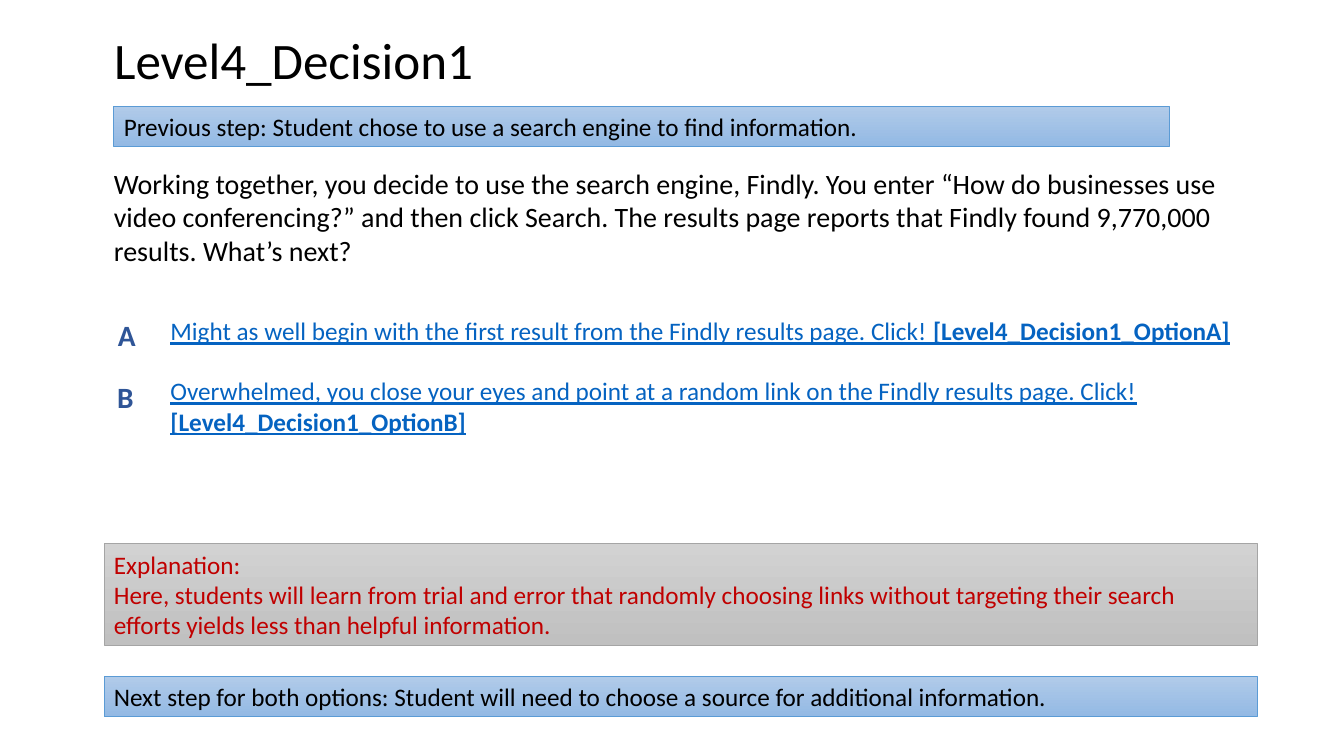
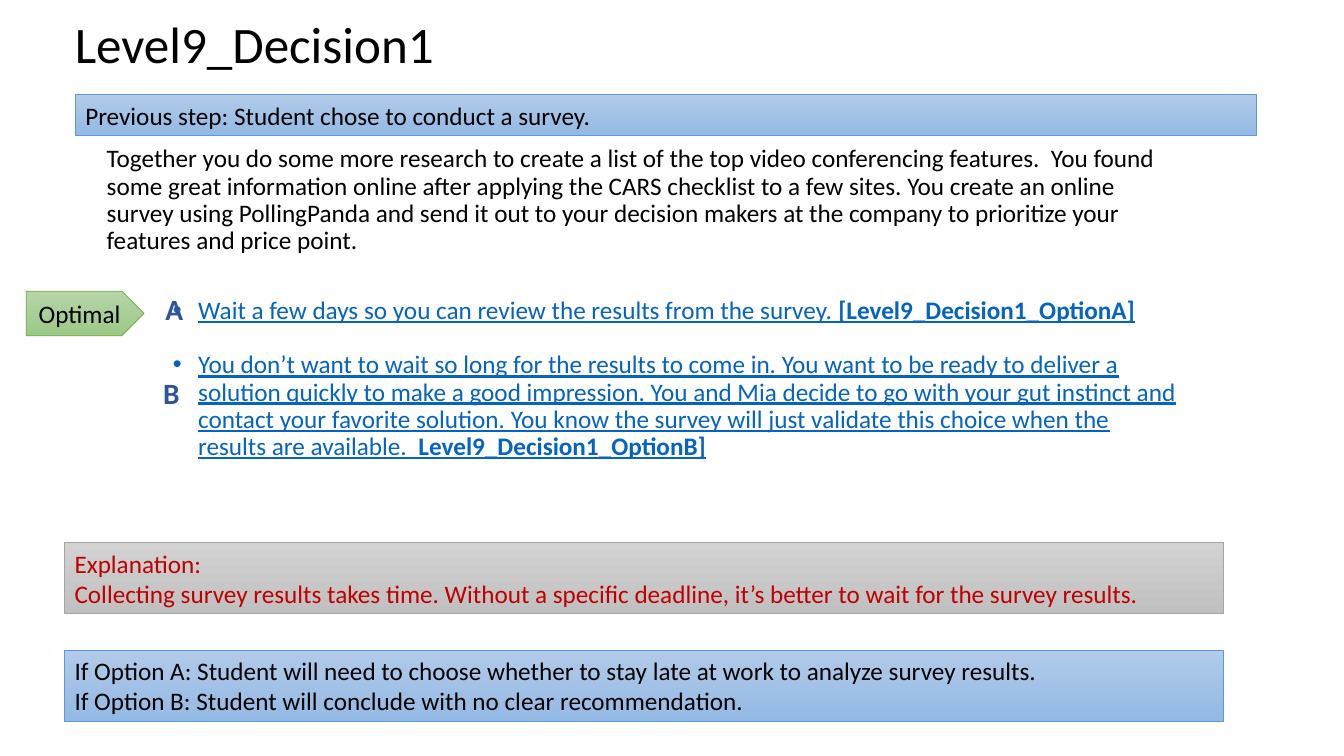
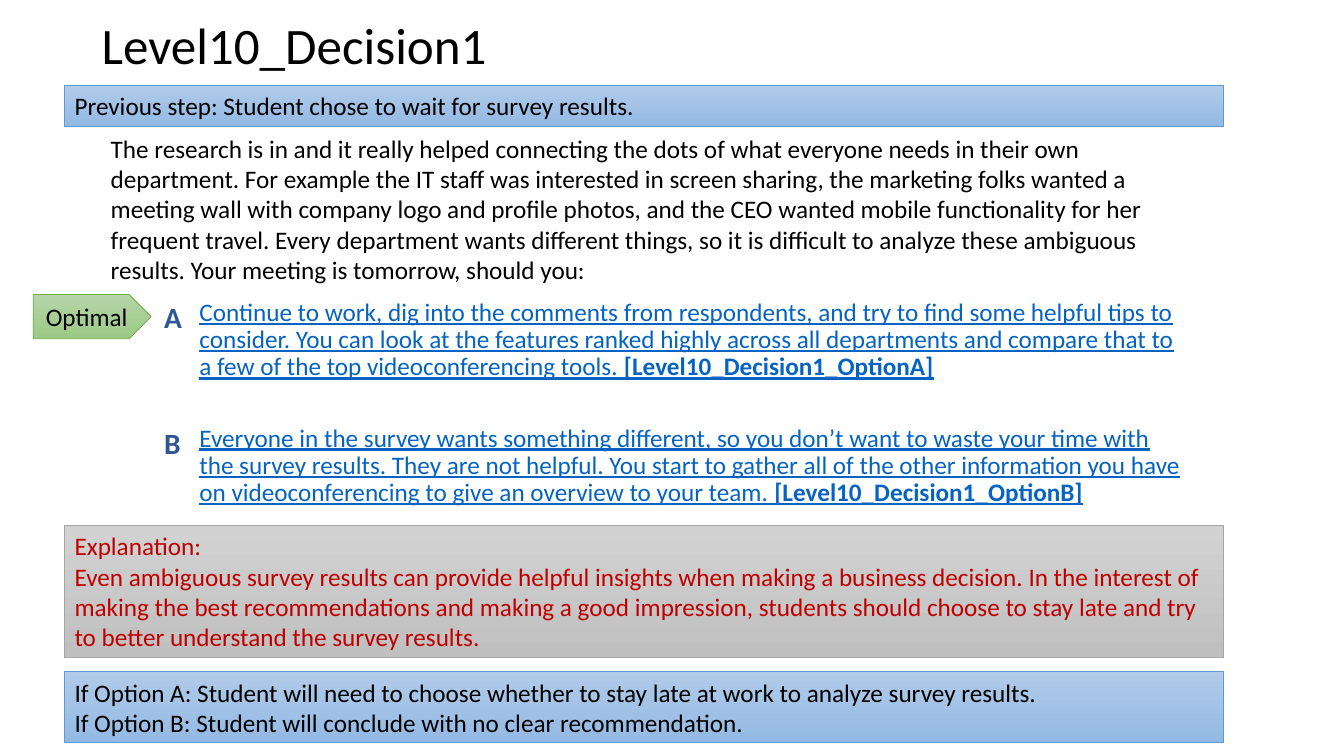
from lxml import etree
from pptx import Presentation
from pptx.dml.color import RGBColor
from pptx.enum.shapes import MSO_SHAPE
from pptx.enum.text import MSO_ANCHOR, MSO_AUTO_SIZE, PP_ALIGN
from pptx.oxml.ns import qn
from pptx.util import Cm, Pt

RECT, ARROW = MSO_SHAPE.RECTANGLE, MSO_SHAPE.PENTAGON
TOP, MIDDLE = MSO_ANCHOR.TOP, MSO_ANCHOR.MIDDLE
LEFT, CENTER = PP_ALIGN.LEFT, PP_ALIGN.CENTER
FIXED = MSO_AUTO_SIZE.NONE


class Theme:
    font = "Calibri"
    black, red = "000000", "C00000"
    link, label = "0563C1", "2F5597"
    # Gradient top, gradient bottom, outline
    blue = ("B1CBE9", "93B9E4", "5B9BD5")
    gray = ("D2D2D2", "C0C0C0", "A5A5A5")
    green = ("B5D5A7", "9CC987", "70AD47")
    title, lead, text, letter = 36.5, 20, 18, 21


def write(frame, lines, size=Theme.text, color=Theme.black, align=LEFT,
          anchor=TOP, bold=False, line=1.0, gap=0, indent=None, bullet=False):
    """Fill a frame; a line is a text or a (plain, bold) pair."""
    frame.word_wrap = True
    frame.auto_size = FIXED
    frame.vertical_anchor = anchor
    for i, item in enumerate(lines):
        para = frame.paragraphs[0] if i == 0 else frame.add_paragraph()
        if indent:
            props = para._p.get_or_add_pPr()
            props.set("marL", str(Cm(indent[0])))
            props.set("indent", str(Cm(indent[1])))
            mark = etree.SubElement(props, qn("a:buChar" if bullet else "a:buNone"))
            if bullet:
                mark.set("char", "•")
        para.alignment = align
        para.line_spacing = line
        para.space_before = Pt(gap if i else 0)
        para.space_after = Pt(0)
        font = para.font
        font.name, font.size, font.bold = Theme.font, Pt(size), bold
        font.color.rgb = RGBColor.from_string(color)
        if isinstance(item, str):
            para.add_run().text = item
            continue
        font.underline = True
        for part, strong in zip(item, (False, True)):
            run = para.add_run()
            run.text, run.font.bold = part, strong


def band(slide, box, lines, tint, color=Theme.black, kind=RECT, align=LEFT):
    """Draw a gradient shape with text."""
    shape = slide.shapes.add_shape(kind, *map(Cm, box))
    shape.shadow.inherit = False
    shape.fill.gradient()
    shape.fill.gradient_angle = 270
    for stop, shade in zip(shape.fill.gradient_stops, tint):
        stop.color.rgb = RGBColor.from_string(shade)
    shape.line.color.rgb = RGBColor.from_string(tint[2])
    shape.line.width = Pt(0.5)
    write(shape.text_frame, lines, color=color, align=align, anchor=MIDDLE)


# Slide content; boxes are left, top, width, height in cm
outcome = [
    "If Option A: Student will need to choose whether to stay late at work to analyze survey results.",
    "If Option B: Student will conclude with no clear recommendation.",
]
pages = [
    dict(
        title="Level4_Decision1", head=(2.62, 0, 29.06, 3.18),
        prev="Student chose to use a search engine to find information.",
        top=(2.87, 2.67, 26.59, 1.02),
        ask="Working together, you decide to use the search engine, Findly. You enter “How do businesses use video conferencing?” and then click Search. The results page reports that Findly found 9,770,000 results. What’s next?",
        body=(2.62, 4.06, 28.93, 3.58), lead=dict(size=Theme.lead),
        picks=[
            ("Might as well begin with the first result from the Findly results page. Click! ",
             "[Level4_Decision1_OptionA]"),
            ("Overwhelmed, you close your eyes and point at a random link on the Findly results page. Click! ",
             "[Level4_Decision1_OptionB]"),
        ],
        list=(4.04, 7.82, 27.64, 3.5), style=dict(gap=21.5, indent=(0, 0)),
        marks=[(2.64, 7.8), (2.62, 9.37)], tag=None,
        why="Here, students will learn from trial and error that randomly choosing links without targeting their search efforts yields less than helpful information.",
        note=(2.62, 13.69, 29.06, 2.57),
        next=["Next step for both options: Student will need to choose a source for additional information."],
        foot=(2.62, 17.04, 29.06, 1.02),
    ),
    dict(
        title="Level9_Decision1", head=(1.63, 0, 27.86, 2.36),
        prev="Student chose to conduct a survey.",
        top=(1.9, 2.39, 29.77, 1.02),
        ask="Together you do some more research to create a list of the top video conferencing features.  You found some great information online after applying the CARS checklist to a few sites. You create an online survey using PollingPanda and send it out to your decision makers at the company to prioritize your features and price point.",
        body=(2.44, 3.56, 27.56, 3), lead=dict(line=0.9),
        picks=[
            ("Wait a few days so you can review the results from the survey. ",
             "[Level9_Decision1_OptionA]"),
            ("You don’t want to wait so long for the results to come in. You want to be ready to deliver a solution quickly to make a good impression. You and Mia decide to go with your gut instinct and contact your favorite solution. You know the survey will just validate this choice when the results are available.  ",
             "Level9_Decision1_OptionB]"),
        ],
        list=(3.78, 7.37, 26.26, 5.5),
        style=dict(gap=19.5, line=0.9, indent=(0.96, -0.64), bullet=True),
        marks=[(3.84, 7.16), (3.78, 9.27)], tag=(0.66, 7.34),
        why="Collecting survey results takes time. Without a specific deadline, it’s better to wait for the survey results.",
        note=(1.63, 13.67, 29.21, 1.8),
        next=outcome, foot=(1.63, 16.38, 29.21, 1.8),
    ),
    dict(
        title="Level10_Decision1", head=(2.31, 0, 27.53, 2.41),
        prev="Student chose to wait for survey results.",
        top=(1.63, 2.16, 29.21, 1.02),
        ask="The research is in and it really helped connecting the dots of what everyone needs in their own department. For example the IT staff was interested in screen sharing, the marketing folks wanted a meeting wall with company logo and profile photos, and the CEO wanted mobile functionality for her frequent travel. Every department wants different things, so it is difficult to analyze these ambiguous results. Your meeting is tomorrow, should you:",
        body=(2.54, 3.23, 27.51, 4.6), lead={},
        picks=[
            ("Continue to work, dig into the comments from respondents, and try to find some helpful tips to consider. You can look at the features ranked highly across all departments and compare that to a few of the top videoconferencing tools. ",
             "[Level10_Decision1_OptionA]"),
            ("Everyone in the survey wants something different, so you don’t want to waste your time with the survey results. They are not helpful. You start to gather all of the other information you have on videoconferencing to give an overview to your team. ",
             "[Level10_Decision1_OptionB]"),
        ],
        list=(4.47, 7.42, 25.58, 6), style=dict(gap=31.5, line=0.9, indent=(0.3, 0)),
        marks=[(3.81, 7.37), (3.81, 10.54)], tag=(0.84, 7.42),
        why="Even ambiguous survey results can provide helpful insights when making a business decision. In the interest of making the best recommendations and making a good impression, students should choose to stay late and try to better understand the survey results.",
        note=(1.63, 13.23, 29.21, 3.33),
        next=outcome, foot=(1.63, 16.92, 29.21, 1.8),
    ),
]

deck = Presentation()
deck.slide_width, deck.slide_height = Cm(33.87), Cm(19.05)

for page in pages:
    slide = deck.slides.add_slide(deck.slide_layouts[1])

    # Title and option list
    title, body = slide.placeholders
    for holder, box in ((title, page["head"]), (body, page["list"])):
        holder.left, holder.top, holder.width, holder.height = map(Cm, box)
    write(title.text_frame, [page["title"]], Theme.title, anchor=MIDDLE, line=0.9)
    write(body.text_frame, page["picks"], color=Theme.link, **page["style"])

    # Option letters
    for letter, spot in zip("AB", page["marks"]):
        frame = slide.shapes.add_textbox(*map(Cm, (*spot, 1.7, 1.3))).text_frame
        frame.margin_left = frame.margin_right = Cm(0.33)
        frame.margin_top = frame.margin_bottom = Cm(0.18)
        write(frame, [letter], Theme.letter, Theme.label, bold=True)

    # Question
    frame = slide.shapes.add_textbox(*map(Cm, page["body"])).text_frame
    write(frame, [page["ask"]], **page["lead"])

    # Bands and tag
    band(slide, page["top"], ["Previous step: " + page["prev"]], Theme.blue)
    band(slide, page["note"], ["Explanation:", page["why"]], Theme.gray, Theme.red)
    band(slide, page["foot"], page["next"], Theme.blue)
    if page["tag"]:
        band(slide, (*page["tag"], 2.97, 1.12), ["Optimal"], Theme.green,
             kind=ARROW, align=CENTER)

deck.save("out.pptx")
